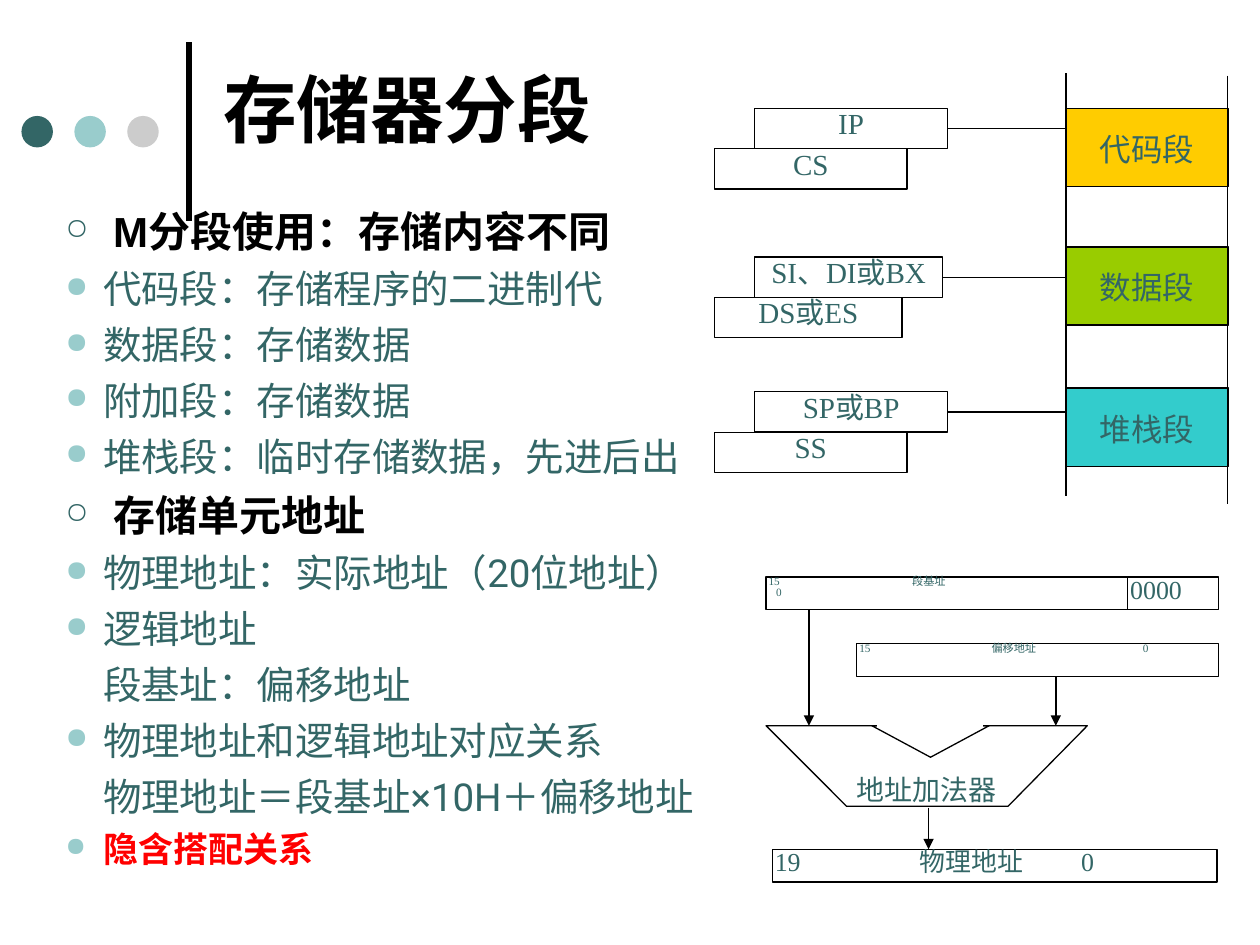
from lxml.etree import SubElement
from pptx import Presentation
from pptx.dml.color import RGBColor
from pptx.enum.shapes import MSO_CONNECTOR, MSO_SHAPE
from pptx.enum.text import MSO_ANCHOR, MSO_AUTO_SIZE, PP_ALIGN
from pptx.oxml.ns import qn
from pptx.util import Inches, Pt

BLACK = RGBColor(0x00, 0x00, 0x00)
WHITE = RGBColor(0xFF, 0xFF, 0xFF)
RED = RGBColor(0xFF, 0x00, 0x00)
TEAL = RGBColor(0x33, 0x66, 0x66)
PALE_TEAL = RGBColor(0x99, 0xCC, 0xCC)
GRAY = RGBColor(0xCC, 0xCC, 0xCC)
GOLD = RGBColor(0xFF, 0xCC, 0x00)
GREEN = RGBColor(0x99, 0xCC, 0x00)
CYAN = RGBColor(0x33, 0xCC, 0xCC)
SERIF = "Times New Roman"


def write(frame, text, size, font=SERIF, color=TEAL, bold=False, align=PP_ALIGN.LEFT,
          spacing=None, before=None, indent=None, hanging=0, bullet=None, tabs=()):
    """Add a paragraph; bullet is (character, colour, percent), tabs are in inches."""
    paragraph = frame.paragraphs[0]
    if paragraph.runs:
        paragraph = frame.add_paragraph()
        if before is not None:
            paragraph.space_before = Pt(before)
    paragraph.alignment = align
    if spacing:
        paragraph.line_spacing = spacing
    properties = paragraph._p.get_or_add_pPr()
    if indent is not None:
        properties.set("marL", str(Inches(indent)))
        properties.set("indent", str(-Inches(hanging)))
    if bullet:
        character, bullet_color, percent = bullet
        SubElement(SubElement(properties, qn("a:buClr")), qn("a:srgbClr"), val=str(bullet_color))
        SubElement(properties, qn("a:buSzPct"), val=str(percent * 1000))
        SubElement(properties, qn("a:buChar"), char=character)
    if tabs:
        tab_list = SubElement(properties, qn("a:tabLst"))
        for stop in tabs:
            SubElement(tab_list, qn("a:tab"), pos=str(Inches(stop)), algn="l")
    paragraph.text = text
    for run in paragraph.runs:
        run.font.size = Pt(size)
        run.font.name = font
        run.font.bold = bold
        run.font.color.rgb = color


def finish(shape, fill=None, outline=BLACK, insets=(0, 0, 0, 0), anchor=MSO_ANCHOR.TOP):
    """Set fill, outline and text margins, and return the text frame."""
    shape.shadow.inherit = False
    if fill is None:
        shape.fill.background()
    else:
        shape.fill.solid()
        shape.fill.fore_color.rgb = fill
    if outline is None:
        shape.line.fill.background()
    else:
        shape.line.color.rgb = outline
        shape.line.width = Pt(0.75)
    frame = shape.text_frame
    frame.word_wrap = True
    frame.vertical_anchor = anchor
    (frame.margin_left, frame.margin_top,
     frame.margin_right, frame.margin_bottom) = [Inches(inset) for inset in insets]
    return frame


presentation = Presentation()
presentation.slide_width = Inches(10)
presentation.slide_height = Inches(7.5)
slide = presentation.slides.add_slide(presentation.slide_layouts[5])
shapes = slide.shapes

# Title and its ornament
title = shapes.title
title.left, title.top, title.width, title.height = [Inches(v) for v in (1.67, 0.21, 7.75, 1.29)]
title.text_frame.auto_size = MSO_AUTO_SIZE.NONE
title.text_frame.vertical_anchor = MSO_ANCHOR.MIDDLE
write(title.text_frame, "存储器分段", 42, font="Arial", color=BLACK, bold=True)

for index, dot_color in enumerate((TEAL, PALE_TEAL, GRAY)):
    dot = shapes.add_shape(MSO_SHAPE.OVAL, Inches(0.17 + 0.42 * index), Inches(0.92),
                           Inches(0.25), Inches(0.25))
    finish(dot, fill=dot_color, outline=None)

# Lines: x1, y1, x2, y2, colour, width, arrowhead, box joined at its right side
lines = [
    (1.5, 1.75, 1.5, 0.33, BLACK, 3, False, None),
    (8.46, 0.58, 8.46, 3.94, BLACK, 0.75, False, None),
    (9.74, 0.6, 9.74, 4, BLACK, 0.75, False, None),
    (6.96, 5.76, 7.8, 5.76, WHITE, 2, False, None),
    (6.42, 4.84, 6.42, 5.76, BLACK, 0.75, True, None),
    (8.38, 5.37, 8.38, 5.76, BLACK, 0.75, True, None),
    (7.37, 6.41, 7.37, 6.74, BLACK, 0.75, True, None),
]

# Memory segments with the registers that address them
segments = [
    ("代码段", GOLD, 0.86, "IP", "CS", 0.86, 1.53),
    ("数据段", GREEN, 1.96, "SI、DI或BX", "DS或ES", 2.04, 1.49),
    ("堆栈段", CYAN, 3.08, "SP或BP", "SS", 3.11, 1.53),
]
for name, color, top, offset_register, base_register, register_top, width in segments:
    segment = shapes.add_shape(MSO_SHAPE.RECTANGLE, Inches(8.46), Inches(top),
                               Inches(1.29), Inches(0.62))
    write(finish(segment, fill=color, insets=(0.1, 0.17, 0.1, 0.05)), name, 18,
          align=PP_ALIGN.CENTER)
    for register, left, row in ((base_register, 5.67, 1), (offset_register, 5.99, 0)):
        register_box = shapes.add_shape(MSO_SHAPE.RECTANGLE, Inches(left),
                                        Inches(register_top + 0.32 * row),
                                        Inches(width), Inches(0.32))
        write(finish(register_box, insets=(0, 0.01, 0, 0.01)), register, 16.6,
              align=PP_ALIGN.CENTER, spacing=0.9)
    middle = register_top + 0.16
    lines.append((5.99 + width, middle, 8.46, middle, BLACK, 0.75, False, register_box))

# Outline of topics
topics = shapes.add_textbox(Inches(0.42), Inches(1.58), Inches(6.17), Inches(5.92)).text_frame
topics.word_wrap = True
heading = dict(size=24, font="Arial", color=BLACK, bold=True, before=6,
               indent=0.38, hanging=0.38, bullet=("○", TEAL, 70))
continuation = dict(size=22, font="Roboto", before=5.5, indent=0.3)
item = dict(continuation, hanging=0.3, bullet=("●", PALE_TEAL, 75))
emphasis = dict(item, size=20, color=RED, bold=True, before=5)
for text, style in [
    ("M分段使用：存储内容不同", heading),
    ("代码段：存储程序的二进制代", item),
    ("数据段：存储数据", item),
    ("附加段：存储数据", item),
    ("堆栈段：临时存储数据，先进后出", item),
    ("存储单元地址", heading),
    ("物理地址：实际地址（20位地址）", item),
    ("逻辑地址", item),
    ("段基址：偏移地址", continuation),
    ("物理地址和逻辑地址对应关系", item),
    ("物理地址＝段基址×10H＋偏移地址", continuation),
    ("隐含搭配关系", emphasis),
]:
    write(topics, text, **style)

# Address fields: text, left, top, width, size, line spacing, tab stops
for text, left, top, width, size, spacing, tabs in [
    ("15\t段基址\v\t0", 6.08, 4.58, 2.87, 6.4, 0.8, (0.06, 1.14)),
    ("0000", 8.95, 4.58, 0.72, 14.8, 0.9, ()),
    ("15\t偏移地址\t0", 6.8, 5.11, 2.87, 6.4, 0.8, (1.05, 2.25)),
    ("19\t物理地址\t0", 6.13, 6.74, 3.53, 14.8, 0.9, (1.15, 2.43)),
]:
    field = shapes.add_shape(MSO_SHAPE.RECTANGLE, Inches(left), Inches(top),
                             Inches(width), Inches(0.26))
    write(finish(field, insets=(0.02, 0, 0.02, 0)), text, size, spacing=spacing, tabs=tabs)

# Address adder with its notch
outline = shapes.build_freeform(Inches(6.08), Inches(5.76))
outline.add_line_segments([(Inches(x), Inches(y)) for x, y in
                           ((6.72, 6.4), (8, 6.4), (8.63, 5.76))], close=True)
adder = outline.convert_to_shape()
write(finish(adder, insets=(0.1, 0, 0.1, 0), anchor=MSO_ANCHOR.BOTTOM), "地址加法器", 16,
      align=PP_ALIGN.CENTER, spacing=0.88)
notch = shapes.add_shape(MSO_SHAPE.ISOSCELES_TRIANGLE, Inches(6.92), Inches(5.76),
                         Inches(0.93), Inches(0.25))
notch.rotation = 180
finish(notch)

for x1, y1, x2, y2, color, weight, arrow, joined_box in lines:
    line = shapes.add_connector(MSO_CONNECTOR.STRAIGHT, Inches(x1), Inches(y1),
                                Inches(x2), Inches(y2))
    if joined_box is not None:
        line.begin_connect(joined_box, 3)
    line.line.color.rgb = color
    line.line.width = Pt(weight)
    if arrow:
        SubElement(line.line._get_or_add_ln(), qn("a:tailEnd"), type="triangle")
    SubElement(line._element.spPr, qn("a:effectLst"))

presentation.save("out.pptx")
